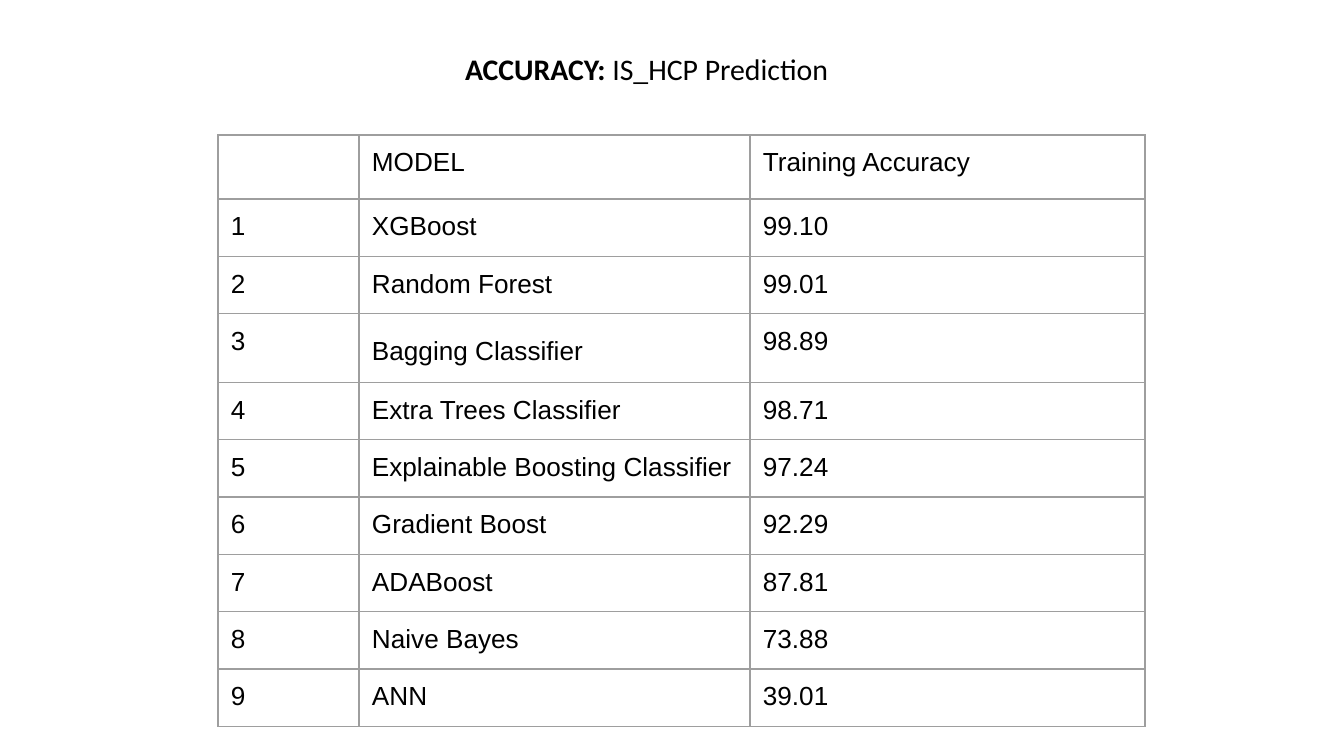
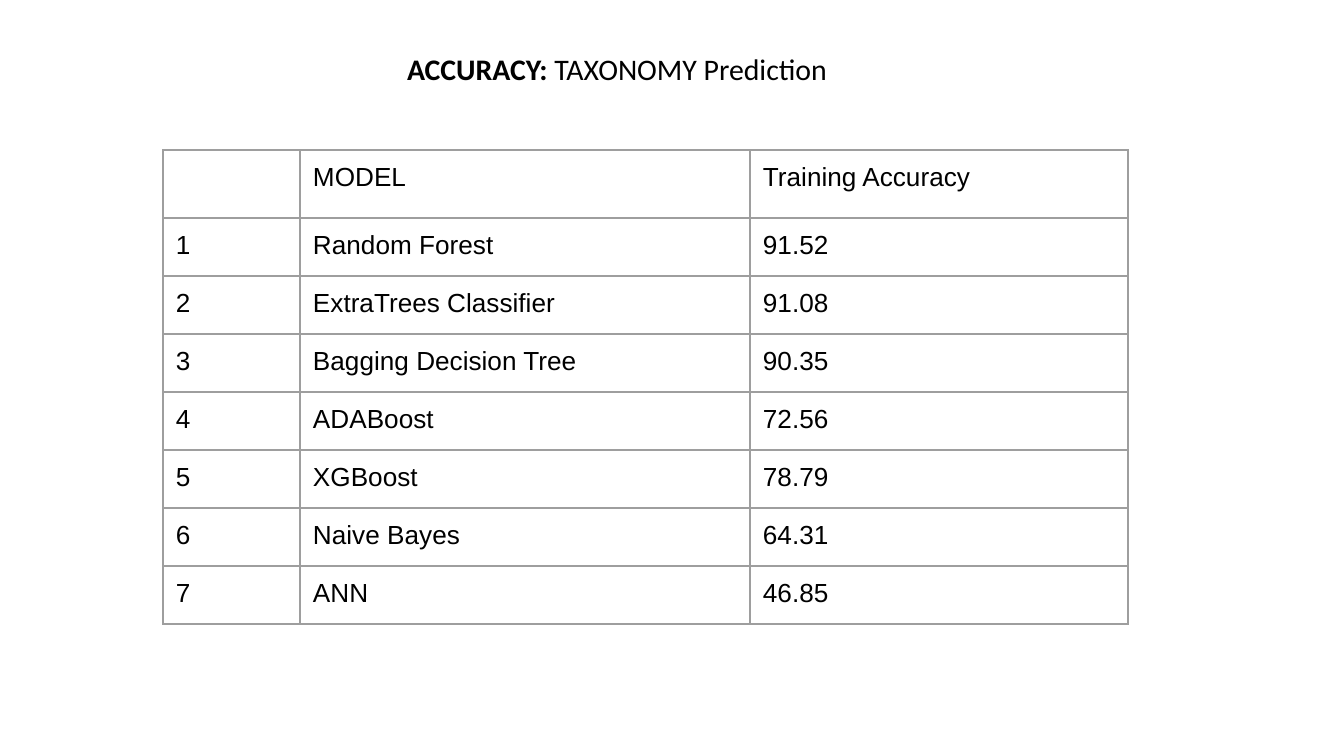
from dataclasses import dataclass

from lxml.etree import SubElement as Sub
from pptx import Presentation
from pptx.dml.color import RGBColor as Rgb
from pptx.enum.text import MSO_ANCHOR as Anchor, MSO_AUTO_SIZE as Fit, PP_ALIGN as Align
from pptx.oxml.ns import qn
from pptx.util import Emu, Pt

SCALE = 914400 / 134.4  # EMU in one px
WIDE, HIGH = 1344, 756
INSET = 13
COLORS = {"text": "000000", "rule": "9E9E9E", "back": "FFFFFF"}
HEAD = ("", "MODEL", "Training Accuracy")


@dataclass
class Score:
    model: str
    value: str
    height: int
    spacing: float = 1.0


@dataclass
class Page:
    topic: str
    title_left: int
    title_width: int
    left: int
    top: int
    cols: tuple[int, ...]
    head_height: int
    scores: list[Score]


PAGES = [
    Page("IS_HCP Prediction", 452, 439, 218, 135, (141, 391, 395), 64, [
        Score("XGBoost", "99.10", 56),
        Score("Random Forest", "99.01", 56),
        Score("Bagging Classifier", "98.89", 67, 1.36),
        Score("Extra Trees Classifier", "98.71", 56),
        Score("Explainable Boosting Classifier", "97.24", 56),
        Score("Gradient Boost", "92.29", 56),
        Score("ADABoost", "87.81", 56),
        Score("Naive Bayes", "73.88", 56),
        Score("ANN", "39.01", 56),
    ]),
    Page("TAXONOMY Prediction", 394, 528, 163, 150, (137, 450, 378), 68, [
        Score("Random Forest", "91.52", 58),
        Score("ExtraTrees Classifier", "91.08", 58),
        Score("Bagging Decision Tree", "90.35", 58),
        Score("ADABoost", "72.56", 58),
        Score("XGBoost", "78.79", 58),
        Score("Naive Bayes", "64.31", 58),
        Score("ANN", "46.85", 58),
    ]),
]


def px(count: int) -> Emu:
    return Emu(round(count * SCALE))


def set_font(para, name: str, size: int) -> None:
    font = para.font
    font.name, font.size = name, Pt(size)
    font.color.rgb = Rgb.from_string(COLORS["text"])


def set_inset(box) -> None:
    """Give a cell or a text frame the same margin on all sides."""
    box.margin_left = box.margin_right = px(INSET)
    box.margin_top = box.margin_bottom = px(INSET)


def add_title(slide, page: Page) -> None:
    title = slide.shapes.title
    title.left, title.top = px(page.title_left), px(38)
    title.width, title.height = px(page.title_width), px(63)
    frame = title.text_frame
    set_inset(frame)
    frame.word_wrap = True
    frame.auto_size = Fit.SHAPE_TO_FIT_TEXT
    frame.vertical_anchor = Anchor.TOP
    para = frame.paragraphs[0]
    para.alignment = Align.LEFT
    set_font(para, "Calibri", 16)
    for text, bold in (("ACCURACY: ", True), (page.topic, False)):
        run = para.add_run()
        run.text, run.font.bold = text, bold


def add_rules(cell) -> None:
    """Draw the four borders of a cell."""
    props = cell._tc.get_or_add_tcPr()
    for side in "LRTB":
        line = Sub(props, qn(f"a:ln{side}"), w=str(Pt(0.75)))
        fill = Sub(line, qn("a:solidFill"))
        Sub(fill, qn("a:srgbClr"), val=COLORS["rule"])


def fill_cell(cell, text: str, spacing: float) -> None:
    set_inset(cell)
    add_rules(cell)
    cell.fill.background()
    para = cell.text_frame.paragraphs[0]
    set_font(para, "Arial", 14)
    if spacing != 1:
        para.line_spacing = spacing
    if text:
        para.add_run().text = text


def add_scores(slide, page: Page) -> None:
    heights = [page.head_height] + [score.height for score in page.scores]
    table = slide.shapes.add_table(
        len(heights), len(page.cols), px(page.left), px(page.top),
        px(sum(page.cols)), px(sum(heights))).table
    table.first_row = table.horz_banding = False
    for col, width in zip(table.columns, page.cols):
        col.width = px(width)
    for row, height in zip(table.rows, heights):
        row.height = px(height)
    for col, text in enumerate(HEAD):
        fill_cell(table.cell(0, col), text, 1)
    for rank, score in enumerate(page.scores, 1):
        fill_cell(table.cell(rank, 0), str(rank), 1)
        fill_cell(table.cell(rank, 1), score.model, score.spacing)
        fill_cell(table.cell(rank, 2), score.value, 1)


def main() -> None:
    deck = Presentation()
    deck.slide_width, deck.slide_height = px(WIDE), px(HIGH)
    for page in PAGES:
        slide = deck.slides.add_slide(deck.slide_layouts[5])
        back = slide.background.fill
        back.solid()
        back.fore_color.rgb = Rgb.from_string(COLORS["back"])
        add_title(slide, page)
        add_scores(slide, page)
    deck.save("out.pptx")


if __name__ == "__main__":
    main()
